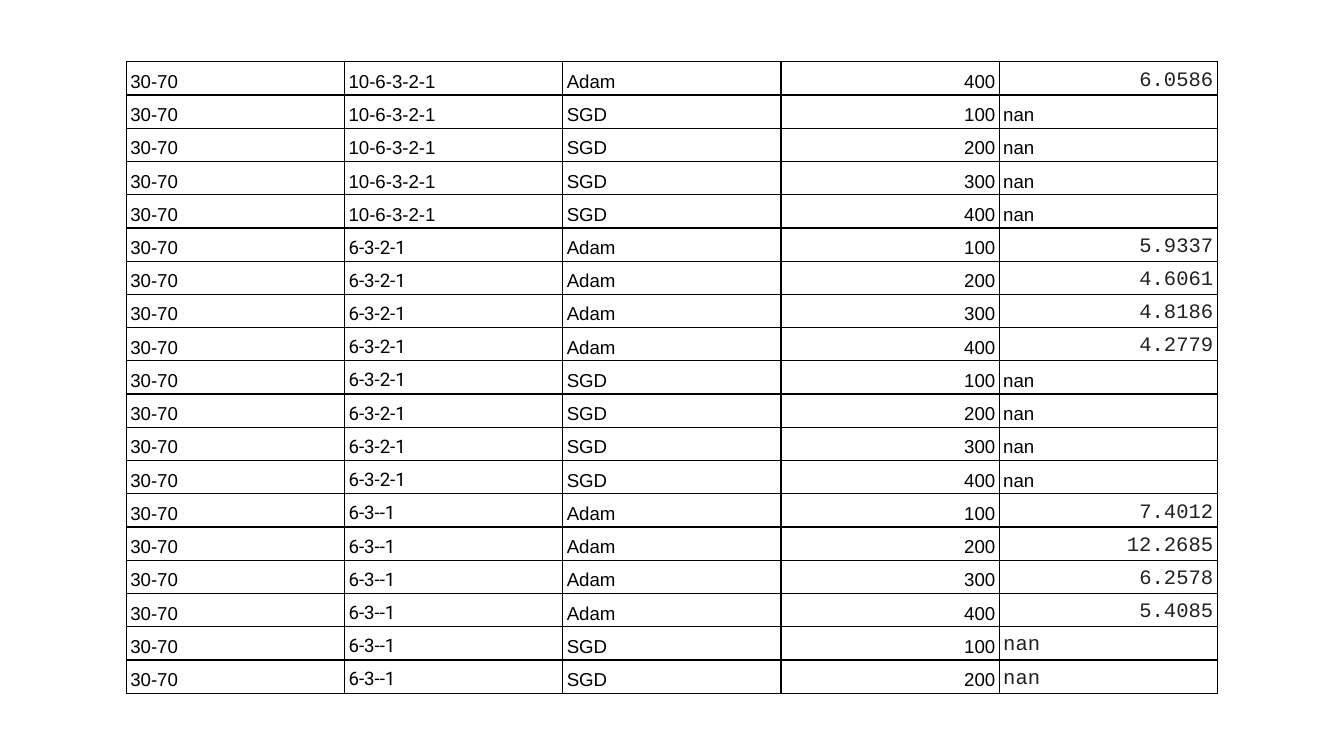
from lxml import etree
from pptx import Presentation
from pptx.dml.color import RGBColor
from pptx.enum.text import MSO_ANCHOR as Anchor, PP_ALIGN as Align
from pptx.oxml.ns import qn
from pptx.util import Inches, Pt

BLACK = RGBColor(0x00, 0x00, 0x00)
DARK_GRAY = RGBColor(0x21, 0x21, 0x21)

# Runs grouped by layers and optimizer: (epochs, loss)
SPLIT = "30-70"
EPOCHS = ["100", "200", "300", "400"]
groups = [
    ("10-6-3-2-1", "Adam", [("400", "6.0586")]),
    ("10-6-3-2-1", "SGD", [(epoch, "nan") for epoch in EPOCHS]),
    ("6-3-2-1", "Adam", zip(EPOCHS, ["5.9337", "4.6061", "4.8186", "4.2779"])),
    ("6-3-2-1", "SGD", [(epoch, "nan") for epoch in EPOCHS]),
    ("6-3--1", "Adam", zip(EPOCHS, ["7.4012", "12.2685", "6.2578", "5.4085"])),
    ("6-3--1", "SGD", [(epoch, "nan") for epoch in EPOCHS[:2]]),
]
rows = [(SPLIT, layers, optimizer, epoch, loss)
        for layers, optimizer, results in groups
        for epoch, loss in results]


def add_borders(cell):
    """Draw a thin black line on all four sides of a cell."""
    properties = cell._tc.get_or_add_tcPr()
    for index, side in enumerate(("lnL", "lnR", "lnT", "lnB")):
        line = etree.Element(qn(f"a:{side}"), w=str(Pt(0.75)))
        fill = etree.SubElement(line, qn("a:solidFill"))
        etree.SubElement(fill, qn("a:srgbClr"), val=str(BLACK))
        properties.insert(index, line)


# Widescreen 16:9 page
deck = Presentation()
deck.slide_width = Inches(10)
deck.slide_height = Inches(10 * 9 / 16)
page = deck.slides.add_slide(deck.slide_layouts[6])

# Results table
frame = page.shapes.add_table(len(rows), 5, Inches(0.94), Inches(0.46),
                              Inches(8.12), Inches(4.7))
table = frame.table
table.first_row = False
table.horz_banding = False

for row_index, row in enumerate(rows):
    layers, optimizer, loss = row[1], row[2], row[4]
    for column, text in enumerate(row):
        cell = table.cell(row_index, column)
        cell.fill.background()
        add_borders(cell)
        cell.vertical_anchor = Anchor.BOTTOM
        cell.margin_left = cell.margin_right = Inches(0.03)
        cell.margin_top = cell.margin_bottom = Inches(0.02)

        para = cell.text_frame.paragraphs[0]
        para.text = text
        para.line_spacing = 1.15
        is_number = column == 3 or (column == 4 and loss != "nan")
        para.alignment = Align.RIGHT if is_number else Align.LEFT

        # Losses are monospaced, shorter layer lists use Roboto
        font = para.runs[0].font
        font.name, font.size, font.color.rgb = "Arial", Pt(10), BLACK
        if column == 1 and layers != "10-6-3-2-1":
            font.name = "Roboto"
        elif column == 4 and (loss != "nan" or layers == "6-3--1"):
            font.name, font.size, font.color.rgb = "Courier New", Pt(11), DARK_GRAY

deck.save("out.pptx")
